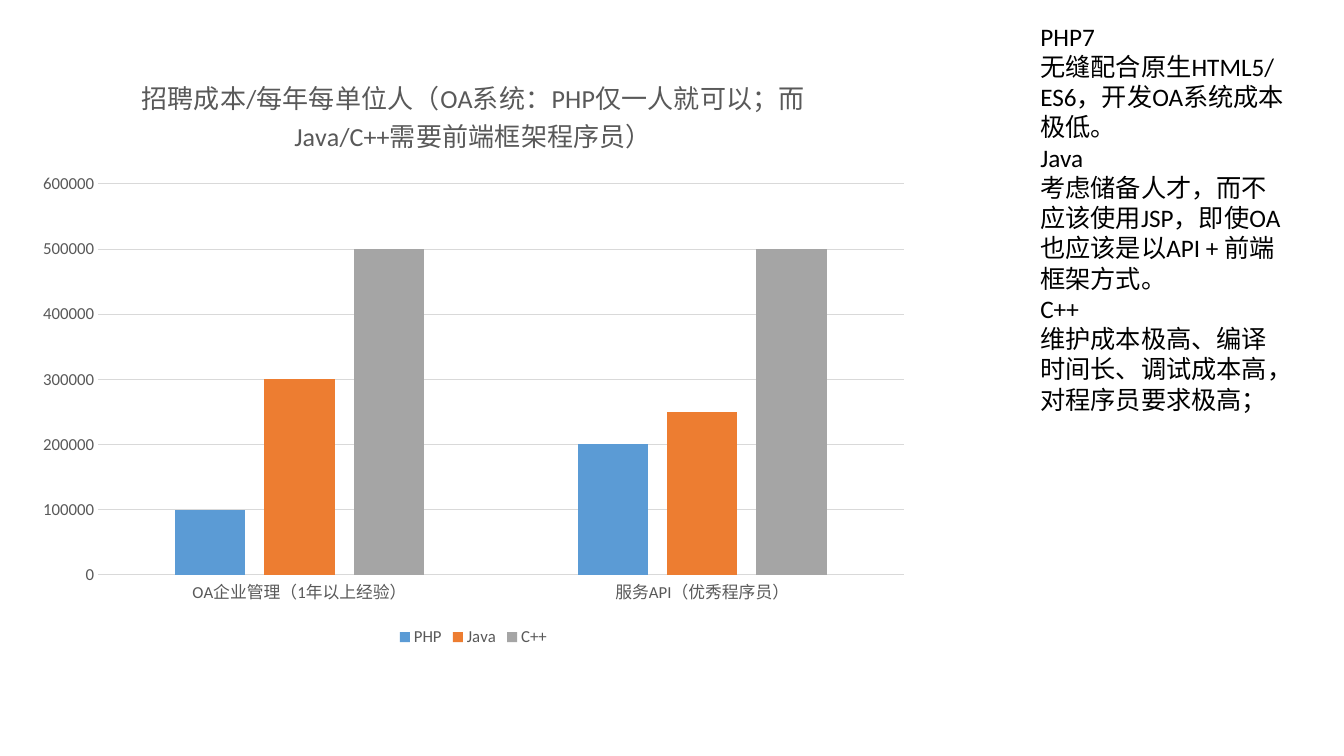
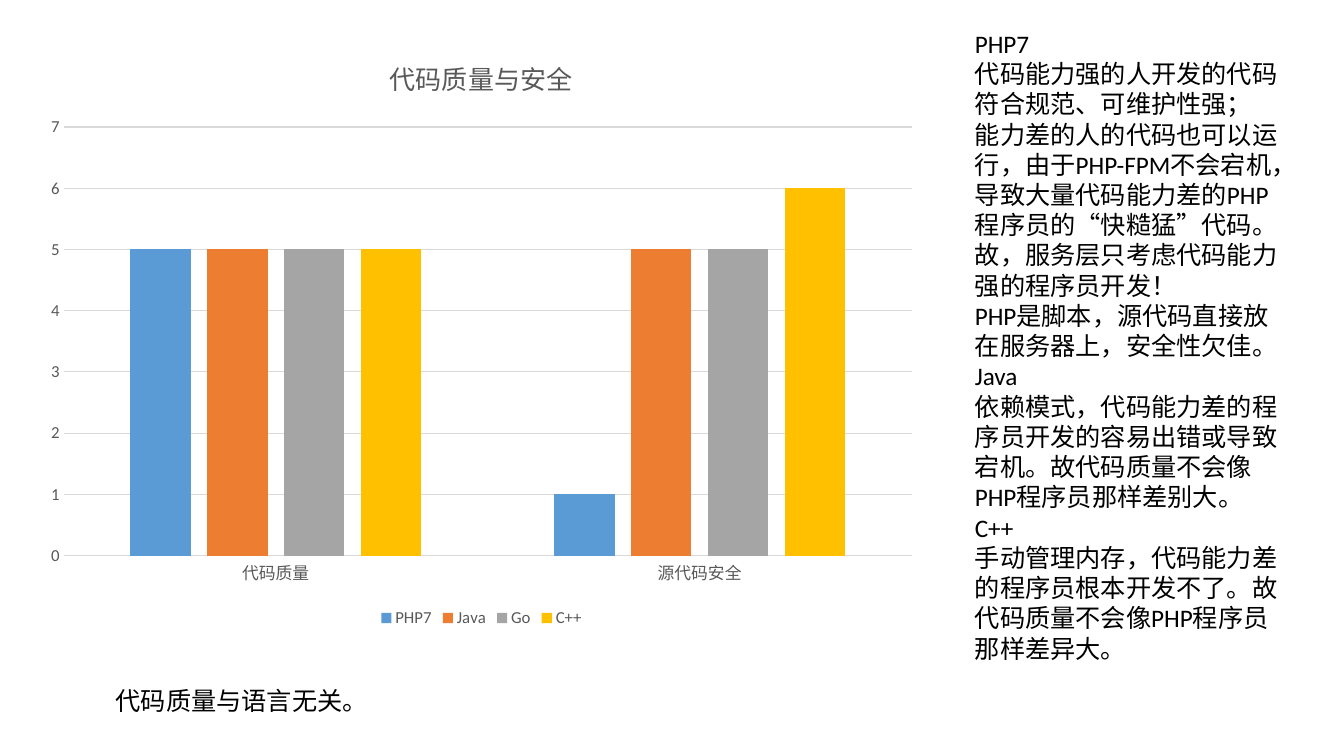
import pptx
import pptx.util
import pptx.chart.data
import pptx.dml.color
import pptx.enum.chart
import pptx.enum.text

Inches = pptx.util.Inches
Pt = pptx.util.Pt
FONT = "Calibri"
COLOR = {"ink": "000000", "gray": "595959", "grid": "D9D9D9", "blue": "5B9BD5",
         "orange": "ED7D31", "silver": "A5A5A5", "gold": "FFC000"}
BARS = ["blue", "orange", "silver", "gold"]
CHART = (8.89, 5.93)


def tint(name):
    return pptx.dml.color.RGBColor.from_string(COLOR[name])


def style(font, size, color):
    font.name = FONT
    font.size = Pt(size)
    font.bold = False
    font.color.rgb = tint(color)


def rule(line):
    line.color.rgb = tint("grid")
    line.width = Pt(0.75)


def add_text(slide, box, lines):
    frame = slide.shapes.add_textbox(*map(Inches, box)).text_frame
    frame.word_wrap = True
    frame.auto_size = pptx.enum.text.MSO_AUTO_SIZE.SHAPE_TO_FIT_TEXT
    for i, line in enumerate(lines):
        para = frame.add_paragraph() if i else frame.paragraphs[0]
        run = para.add_run()
        run.text = line
        style(run.font, 18, "ink")


def add_bars(slide, box, title, cats, series, top, step):
    data = pptx.chart.data.CategoryChartData()
    data.categories = cats
    for name, vals in series.items():
        data.add_series(name, vals)
    kind = pptx.enum.chart.XL_CHART_TYPE.COLUMN_CLUSTERED
    chart = slide.shapes.add_chart(kind, *map(Inches, box), data).chart
    style(chart.font, 10, "ink")

    chart.has_title = True
    run = chart.chart_title.text_frame.paragraphs[0].add_run()
    run.text = title
    style(run.font, 18.6, "gray")
    chart.chart_title.include_in_layout = False

    chart.has_legend = True
    chart.legend.position = pptx.enum.chart.XL_LEGEND_POSITION.BOTTOM
    chart.legend.include_in_layout = False
    style(chart.legend.font, 12, "gray")

    for axis in (chart.category_axis, chart.value_axis):
        axis.major_tick_mark = pptx.enum.chart.XL_TICK_MARK.NONE
        axis.minor_tick_mark = pptx.enum.chart.XL_TICK_MARK.NONE
        style(axis.tick_labels.font, 12, "gray")
    rule(chart.category_axis.format.line)
    scale = chart.value_axis
    scale.format.line.fill.background()
    scale.minimum_scale, scale.maximum_scale, scale.major_unit = 0, top, step
    scale.has_major_gridlines = True
    rule(scale.major_gridlines.format.line)

    plot = chart.plots[0]
    plot.gap_width = 219
    plot.overlap = -27
    plot.vary_by_categories = False
    for bar, color in zip(plot.series, BARS):
        bar.format.fill.solid()
        bar.format.fill.fore_color.rgb = tint(color)


def add_slide(deck, spot, chart, side, notes):
    slide = deck.slides.add_slide(deck.slide_layouts[6])
    add_text(slide, side, notes)
    add_bars(slide, spot + CHART, **chart)
    return slide


deck = pptx.Presentation()
deck.slide_width = Inches(13.33)
deck.slide_height = Inches(7.5)

add_slide(
    deck, (0.25, 0.53),
    {"title": "招聘成本/每年每单位人（OA系统：PHP仅一人就可以；而Java/C++需要前端框架程序员）",
     "cats": ["OA企业管理（1年以上经验）", "服务API（优秀程序员）"],
     "series": {"PHP": (100000, 200000), "Java": (300000, 250000),
                "C++": (500000, 500000)},
     "top": 600000, "step": 100000},
    (10.22, 0.16, 2.64, 4.95),
    ["PHP7",
     "无缝配合原生HTML5/ES6，开发OA系统成本极低。",
     "Java",
     "考虑储备人才，而不应该使用JSP，即使OA也应该是以API + 前端框架方式。",
     "C++",
     "维护成本极高、编译时间长、调试成本高，对程序员要求极高；"])

last = add_slide(
    deck, (0.33, 0.34),
    {"title": "代码质量与安全",
     "cats": ["代码质量", "源代码安全"],
     "series": {"PHP7": (5, 1), "Java": (5, 5), "Go": (5, 5), "C++": (5, 6)},
     "top": 7, "step": 1},
    (9.57, 0.23, 3.3, 7.37),
    ["PHP7",
     "代码能力强的人开发的代码符合规范、可维护性强；",
     "能力差的人的代码也可以运行，由于PHP-FPM不会宕机，导致大量代码能力差的PHP程序员的“快糙猛”代码。",
     "故，服务层只考虑代码能力强的程序员开发！",
     "PHP是脚本，源代码直接放在服务器上，安全性欠佳。",
     "Java",
     "依赖模式，代码能力差的程序员开发的容易出错或导致宕机。故代码质量不会像PHP程序员那样差别大。",
     "C++",
     "手动管理内存，代码能力差的程序员根本开发不了。故代码质量不会像PHP程序员那样差异大。"])
add_text(last, (1.05, 6.75, 3.13, 0.4), ["代码质量与语言无关。"])

deck.save("out.pptx")
